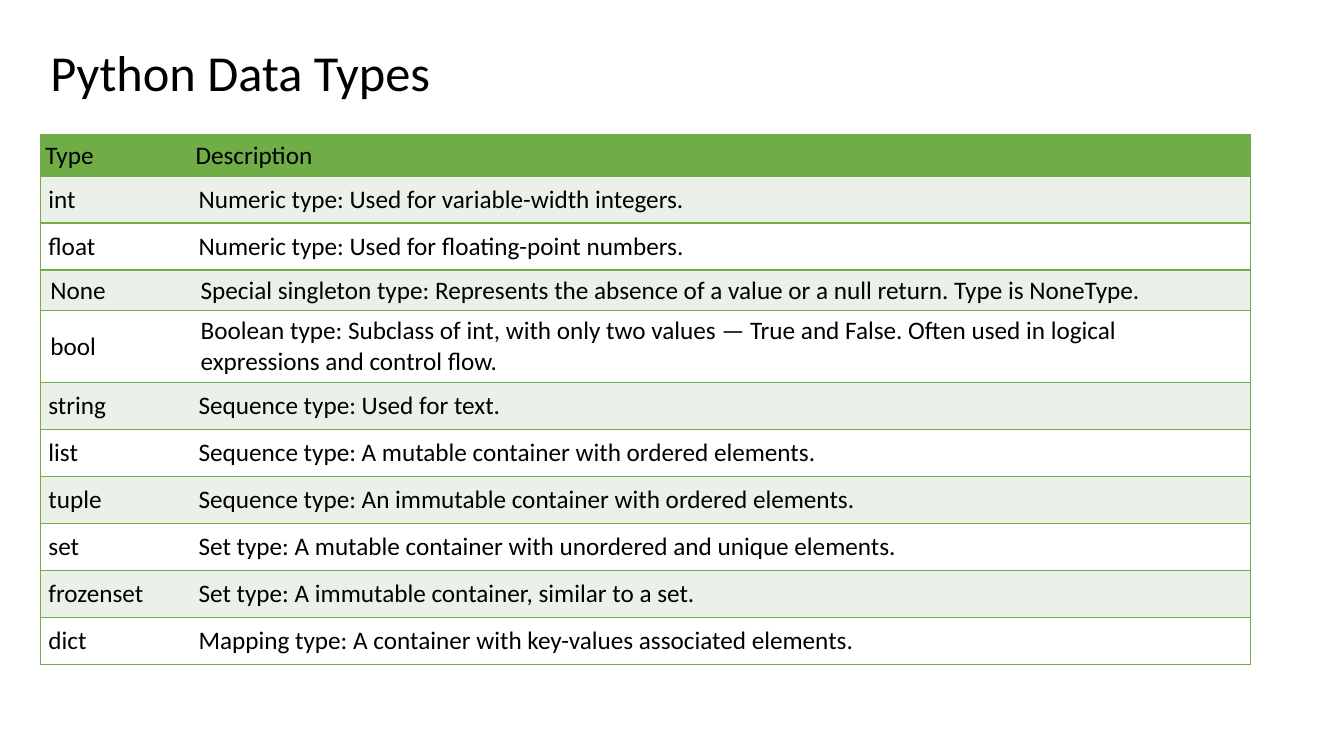
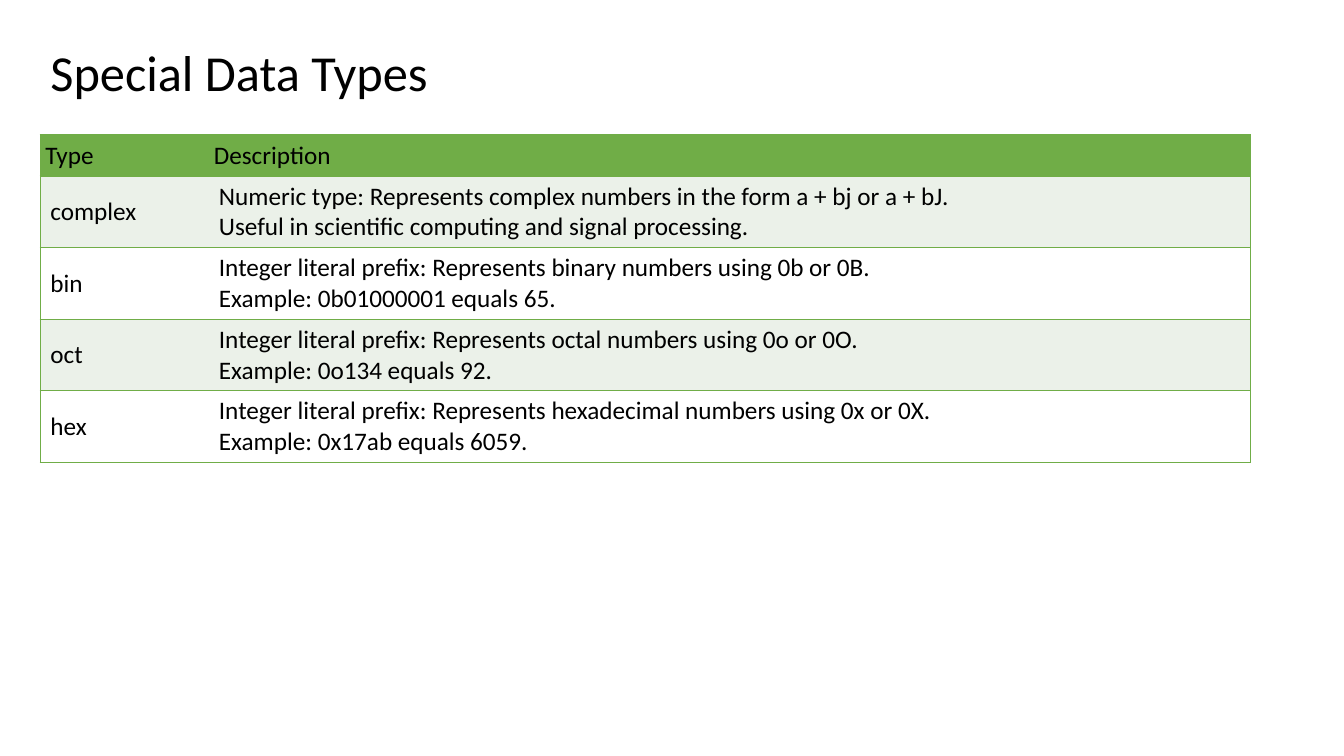
from lxml import etree
from pptx import Presentation
from pptx.dml.color import RGBColor
from pptx.enum import text
from pptx.oxml import ns
from pptx.util import Pt

GREEN = RGBColor(0x70, 0xAD, 0x47)
PALE = RGBColor(0xEB, 0xF1, 0xE9)
WHITE = RGBColor(0xFF, 0xFF, 0xFF)
BLACK = RGBColor(0x00, 0x00, 0x00)
FONT = "Calibri"
LEFT, TOP, WIDTH, ROW = 28.8, 96.5, 864.7, 29.2

# Cell padding: sides, then top and bottom
HEAD = (3.6, 3.6)
EVEN = (5.8, 5.8)
WIDE = (7.2, 3.6)

# Each page: title, width of the first column, rows of (padding, type, description)
PAGES = [
    ("Python Data Types", 107.3, [
        (EVEN, "int", "Numeric type: Used for variable-width integers."),
        (EVEN, "float", "Numeric type: Used for floating-point numbers."),
        (WIDE, "None", "Special singleton type: Represents the absence of a value "
                       "or a null return. Type is NoneType."),
        (WIDE, "bool", "Boolean type: Subclass of int, with only two values — True and "
                       "False. Often used in logical expressions and control flow."),
        (EVEN, "string", "Sequence type: Used for text."),
        (EVEN, "list", "Sequence type: A mutable container with ordered elements."),
        (EVEN, "tuple", "Sequence type: An immutable container with ordered elements."),
        (EVEN, "set", "Set type: A mutable container with unordered and unique elements."),
        (EVEN, "frozenset", "Set type: A immutable container, similar to a set."),
        (EVEN, "dict", "Mapping type: A container with key-values associated elements."),
    ]),
    ("Special Data Types", 120.4, [
        (WIDE, "complex", "Numeric type: Represents complex numbers in the form a + bj or a + bJ.\n"
                          "Useful in scientific computing and signal processing."),
        (WIDE, "bin", "Integer literal prefix: Represents binary numbers using 0b or 0B.\n"
                      "Example: 0b01000001 equals 65."),
        (WIDE, "oct", "Integer literal prefix: Represents octal numbers using 0o or 0O.\n"
                      "Example: 0o134 equals 92."),
        (WIDE, "hex", "Integer literal prefix: Represents hexadecimal numbers using 0x or 0X.\n"
                      "Example: 0x17ab equals 6059."),
    ]),
]


def style(frame, size):
    for para in frame.paragraphs:
        para.font.name = FONT
        para.font.size = Pt(size)
        para.font.color.rgb = BLACK


def edge(cell, sides):
    """Draw the given sides in green and clear the others."""
    props = cell._tc.get_or_add_tcPr()
    for side in "LRTB":
        line = etree.SubElement(props, ns.qn(f"a:ln{side}"), w=str(Pt(1)))
        if side in sides:
            fill = etree.SubElement(line, ns.qn("a:solidFill"))
            etree.SubElement(fill, ns.qn("a:srgbClr"), val=str(GREEN))
        else:
            etree.SubElement(line, ns.qn("a:noFill"))


deck = Presentation()
deck.slide_width, deck.slide_height = Pt(960), Pt(540)

for name, first, items in PAGES:
    slide = deck.slides.add_slide(deck.slide_layouts[5])

    # Title
    title = slide.shapes.title
    title.left, title.top = Pt(LEFT), Pt(17.3)
    title.width, title.height = Pt(828), Pt(73.4)
    title.text_frame.text = name
    title.text_frame.auto_size = text.MSO_AUTO_SIZE.NONE
    title.text_frame.vertical_anchor = text.MSO_ANCHOR.MIDDLE
    para = title.text_frame.paragraphs[0]
    para.alignment = text.PP_ALIGN.LEFT
    para.line_spacing = 0.9
    style(title.text_frame, 36)

    # Table
    rows = [(HEAD, "Type", "Description")] + items
    table = slide.shapes.add_table(len(rows), 2, Pt(LEFT), Pt(TOP),
                                   Pt(WIDTH), Pt(ROW * len(rows))).table
    table.first_row = table.horz_banding = False
    table.columns[0].width = Pt(first)
    table.columns[1].width = Pt(WIDTH - first)

    # Cells, with pale and white rows in turn under the green head
    for r, (pad, *words) in enumerate(rows):
        for c, word in enumerate(words):
            cell = table.cell(r, c)
            cell.text = word
            cell.vertical_anchor = text.MSO_ANCHOR.MIDDLE
            cell.margin_left = cell.margin_right = Pt(pad[0])
            cell.margin_top = cell.margin_bottom = Pt(pad[1])
            edge(cell, "RTB" if c else "LTB")
            cell.fill.solid()
            cell.fill.fore_color.rgb = GREEN if r == 0 else PALE if r % 2 else WHITE
            style(cell.text_frame, 18)

deck.save("out.pptx")
